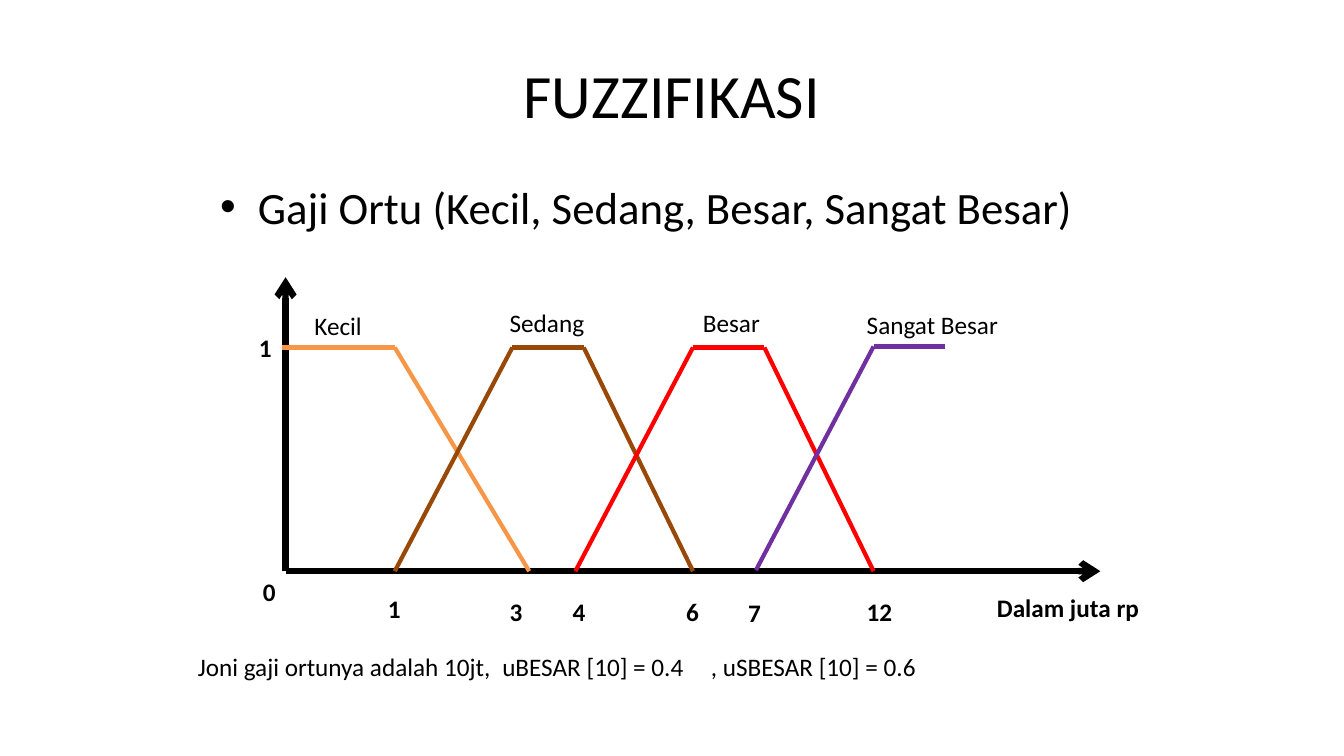
"""Fuzzification slide: membership functions drawn on a grid of 24 cells per inch."""
from dataclasses import dataclass

from lxml import etree
from pptx import Presentation
from pptx.dml.color import RGBColor
from pptx.enum.shapes import MSO_CONNECTOR
from pptx.enum.text import MSO_ANCHOR, MSO_AUTO_SIZE, PP_ALIGN
from pptx.oxml.ns import qn
from pptx.util import Inches, Pt

STRAIGHT = MSO_CONNECTOR.STRAIGHT
MIDDLE, TOP = MSO_ANCHOR.MIDDLE, MSO_ANCHOR.TOP
NO_FIT, GROW = MSO_AUTO_SIZE.NONE, MSO_AUTO_SIZE.SHAPE_TO_FIT_TEXT
LEFT, CENTER = PP_ALIGN.LEFT, PP_ALIGN.CENTER

CELLS_PER_INCH = 24
COLS, ROWS = 320, 180
BLACK = "000000"
ORIGIN_COL, BASE_ROW, PEAK_ROW = 68, 136, 82.75
NAME_ROW, TICK_ROW = 72, 140.75
LABEL_HEIGHT = 9.6
CAPTION_STOPS = (3.02, 5.09)


@dataclass(frozen=True)
class Path:
    """A run of straight lines through grid points."""
    points: tuple[tuple[float, float], ...]
    color: str
    width: float = 3
    arrow: bool = False


@dataclass(frozen=True)
class Label:
    """A one-line text at a grid cell."""
    text: str
    col: float
    row: float
    cols: float = 8
    bold: bool = True


PATHS = (
    Path(((ORIGIN_COL, BASE_ROW), (ORIGIN_COL, 66)), BLACK, 4.5, True),
    Path(((ORIGIN_COL, BASE_ROW), (262, BASE_ROW)), BLACK, 4.5, True),
    Path(((67.25, PEAK_ROW), (94, PEAK_ROW), (126, BASE_ROW)), "F79646"),
    Path(((94, BASE_ROW), (122, PEAK_ROW), (139, PEAK_ROW), (165, BASE_ROW)), "984807"),
    Path(((137, BASE_ROW), (165, PEAK_ROW), (182, PEAK_ROW), (208, BASE_ROW)), "FF0000"),
    Path(((180, 135.75), (208, 82.5), (225, 82.5)), "7030A0"),
)

LABELS = (
    Label("0", 60.25, BASE_ROW),
    Label("1", 59.25, 78),
    Label("Kecil", 72.5, NAME_ROW + 0.75, 16.25, False),
    Label("Sedang", 119, NAME_ROW, 22.75, False),
    Label("Besar", 165, NAME_ROW, 18.5, False),
    Label("Sangat Besar", 204, NAME_ROW + 0.5, 36.5, False),
    Label("1", 90, 140),
    Label("3", 119, TICK_ROW),
    Label("4", 134, TICK_ROW),
    Label("6", 161, TICK_ROW),
    Label("7", 175.75, TICK_ROW + 0.25),
    Label("12", 204, TICK_ROW, 11),
    Label("Dalam juta rp", 235, TICK_ROW - 1, 39),
)
CAPTION = Label("Joni gaji ortunya adalah 10jt,\tuBESAR [10] = 0.4\t, uSBESAR [10] = 0.6",
                44.75, 154, 179.25, False)


def cells(count: float) -> int:
    """Turn grid cells into a length."""
    return Inches(count / CELLS_PER_INCH)


def rgb(value: str) -> RGBColor:
    """Turn a hex string into a colour."""
    return RGBColor.from_string(value)


def apply(obj, values: dict) -> None:
    """Set each named attribute."""
    for name, value in values.items():
        setattr(obj, name, value)


def place(sp, col: float, row: float, cols: float, rows: float) -> None:
    """Move a shape to its grid cells."""
    apply(sp, {"left": cells(col), "top": cells(row),
               "width": cells(cols), "height": cells(rows)})


def write(sp, text: str, size: float, frame: dict, align=LEFT, bold: bool = False):
    """Fill a shape with one formatted paragraph and return it."""
    tf = sp.text_frame
    apply(tf, frame)
    p = tf.paragraphs[0]
    p.alignment = align
    r = p.add_run()
    r.text = text
    apply(r.font, {"name": "Calibri", "size": Pt(size), "bold": bold})
    r.font.color.rgb = rgb(BLACK)
    return p


def add_label(s, label: Label, wrap: bool = False):
    """Draw a label and return its paragraph."""
    sp = s.shapes.add_textbox(cells(label.col), cells(label.row),
                              cells(label.cols), cells(LABEL_HEIGHT))
    frame = {"word_wrap": wrap, "auto_size": GROW}
    return write(sp, label.text, 18, frame, bold=label.bold)


def add_tabs(p, stops: tuple[float, ...]) -> None:
    """Give a paragraph left tab stops, in inches."""
    tabs = etree.SubElement(p._p.get_or_add_pPr(), qn("a:tabLst"))
    for stop in stops:
        etree.SubElement(tabs, qn("a:tab"), pos=str(Inches(stop)), algn="l")


def add_path(s, path: Path) -> None:
    """Draw each segment of a path as a connector."""
    for start, end in zip(path.points, path.points[1:]):
        sp = s.shapes.add_connector(STRAIGHT, *map(cells, start + end))
        apply(sp.line, {"width": Pt(path.width)})
        sp.line.color.rgb = rgb(path.color)
        if path.arrow:
            etree.SubElement(sp.line._get_or_add_ln(), qn("a:tailEnd"), type="arrow")
        etree.SubElement(sp._element.spPr, qn("a:effectLst"))


def main() -> None:
    """Build and save the slide."""
    prs = Presentation()
    apply(prs, {"slide_width": cells(COLS), "slide_height": cells(ROWS)})
    s = prs.slides.add_slide(prs.slide_layouts[1])
    title, body = s.shapes.title, s.placeholders[1]
    place(title, 16, 7.25, 288, 30)
    write(title, "FUZZIFIKASI", 44, {"vertical_anchor": MIDDLE, "auto_size": NO_FIT}, CENTER)
    place(body, 50, 41.5, 216, 118.75)
    write(body, "Gaji Ortu (Kecil, Sedang, Besar, Sangat Besar)", 32,
          {"vertical_anchor": TOP, "auto_size": NO_FIT}).space_before = Pt(0)
    for path in PATHS:
        add_path(s, path)
    for label in LABELS:
        add_label(s, label)
    add_tabs(add_label(s, CAPTION, True), CAPTION_STOPS)
    prs.save("out.pptx")


if __name__ == "__main__":
    main()
